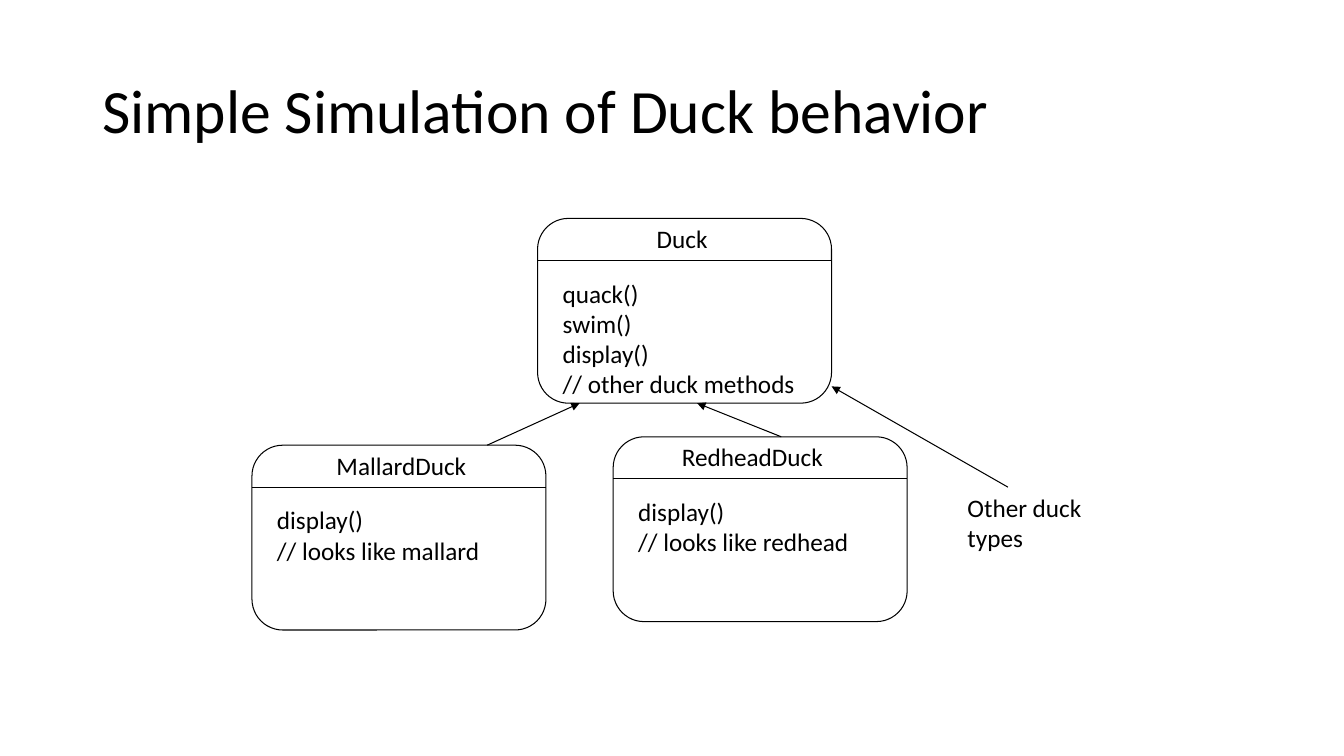
from lxml import etree
from pptx import Presentation
from pptx.dml.color import RGBColor
from pptx.enum.shapes import MSO_CONNECTOR, MSO_SHAPE
from pptx.enum.text import MSO_ANCHOR, MSO_AUTO_SIZE, PP_ALIGN
from pptx.oxml.ns import qn
from pptx.util import Pt

STRAIGHT = MSO_CONNECTOR.STRAIGHT
ROUNDED = MSO_SHAPE.ROUNDED_RECTANGLE
MIDDLE = MSO_ANCHOR.MIDDLE
FIT_SHAPE = MSO_AUTO_SIZE.SHAPE_TO_FIT_TEXT
LEFT = PP_ALIGN.LEFT
TITLE_ONLY = 5

BOX_WIDTH, BOX_HEIGHT, HEADER_HEIGHT = 210, 132, 30
LINE_HEIGHT, TEXT_MARGINS = 21.6, 7.2

# left, top, name left, name width, class name, body width, members
CLASSES = [
    (384, 156, 462, 51, "Duck", 187.2,
     ["quack()", "swim()", "display()", "// other duck methods"]),
    (180, 318, 233.3, 108, "MallardDuck", 160.6,
     ["display()", "// looks like mallard"]),
    (438, 312, 480, 116.6, "RedheadDuck", 166.3,
     ["display()", "// looks like redhead"]),
]
ARROWS = [((348, 318), (414, 288)),
          ((558, 312), (498, 288)),
          ((720, 348), (594, 276))]


def color(value):
    return RGBColor.from_string(value)


class DuckDiagram:
    font_name = "Calibri"
    ink = "000000"
    line_width = 0.75

    def __init__(self, slide):
        self.slide = slide

    def set_text(self, frame, lines, size, **formats):
        frame.text = "\n".join(lines)
        for paragraph in frame.paragraphs:
            for name, value in {"alignment": LEFT, **formats}.items():
                setattr(paragraph, name, value)
            for name, value in {"name": self.font_name, "size": Pt(size)}.items():
                setattr(paragraph.font, name, value)
            paragraph.font.color.rgb = color(self.ink)

    def outline(self, shape):
        shape.line.color.rgb = color(self.ink)
        shape.line.width = Pt(self.line_width)

    def title(self, text):
        title = self.slide.shapes.title
        place = {"left": 66, "top": 28.75, "width": 828, "height": 104.4}
        for name, value in place.items():
            setattr(title, name, Pt(value))
        title.text_frame.vertical_anchor = MIDDLE
        self.set_text(title.text_frame, [text], 44, line_spacing=0.9)

    def label(self, left, top, width, lines):
        height = LINE_HEIGHT * len(lines) + TEXT_MARGINS
        box = self.slide.shapes.add_textbox(Pt(left), Pt(top), Pt(width), Pt(height))
        box.text_frame.word_wrap = False
        box.text_frame.auto_size = FIT_SHAPE
        self.set_text(box.text_frame, lines, 18)

    def line(self, start, end, arrow=False):
        connector = self.slide.shapes.add_connector(
            STRAIGHT, *(Pt(value) for value in (*start, *end)))
        self.outline(connector)
        properties = connector._element.spPr
        if arrow:
            etree.SubElement(properties.find(qn("a:ln")), qn("a:tailEnd"),
                             type="triangle")
        etree.SubElement(properties, qn("a:effectLst"))

    def class_box(self, left, top, name_left, name_width, name, body_width, members):
        """Draw a class with its name above the divider and its members below."""
        shape = self.slide.shapes.add_shape(
            ROUNDED, Pt(left), Pt(top), Pt(BOX_WIDTH), Pt(BOX_HEIGHT))
        shape.shadow.inherit = False
        shape.fill.background()
        self.outline(shape)
        divider = top + HEADER_HEIGHT
        self.label(name_left, top, name_width, [name])
        self.line((left, divider), (left + BOX_WIDTH, divider))
        self.label(left + 10.8, divider + 9, body_width, members)


def main():
    presentation = Presentation()
    presentation.slide_width, presentation.slide_height = Pt(960), Pt(540)
    slide = presentation.slides.add_slide(presentation.slide_layouts[TITLE_ONLY])
    diagram = DuckDiagram(slide)
    diagram.title("Simple Simulation of Duck behavior")
    for duck_class in CLASSES:
        diagram.class_box(*duck_class)
    for start, end in ARROWS:
        diagram.line(start, end, arrow=True)
    diagram.label(684, 348, 96.5, ["Other duck", "types"])
    presentation.save("out.pptx")


if __name__ == "__main__":
    main()
